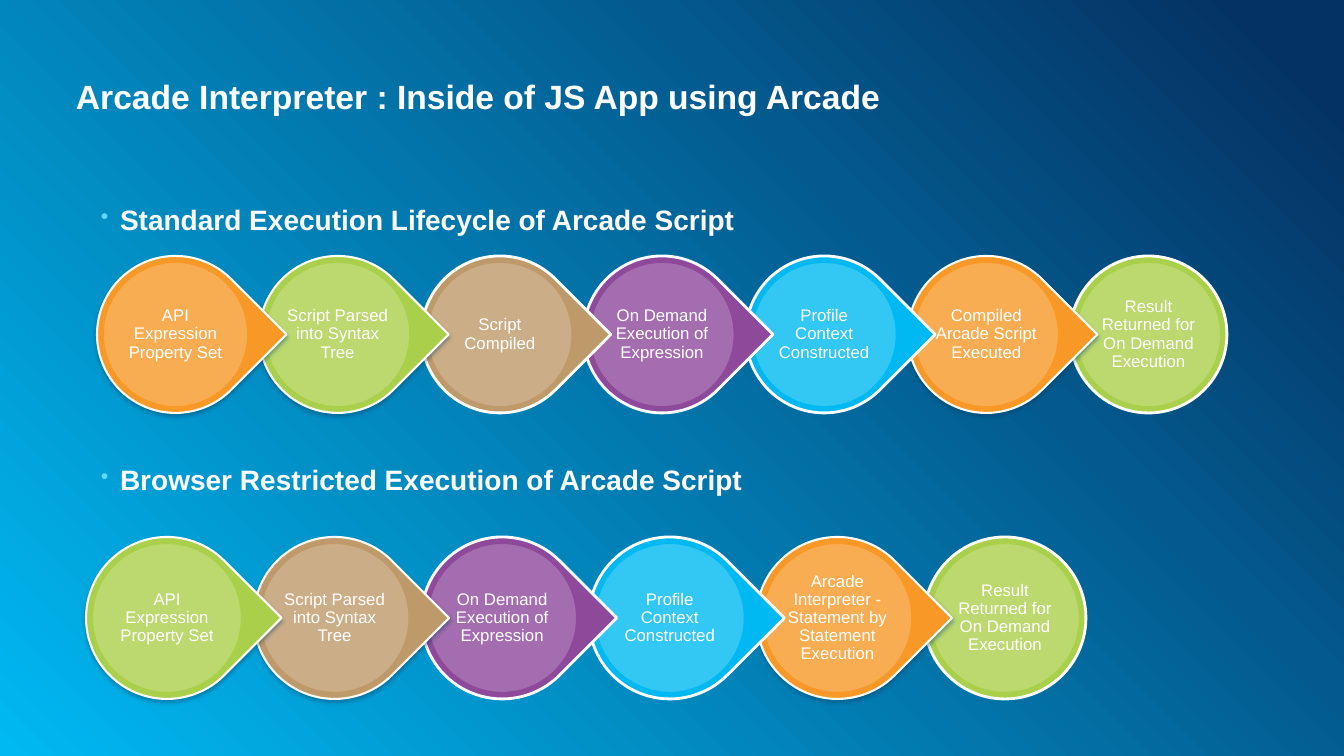
from pptx import Presentation
from pptx.dml.color import RGBColor
from pptx.enum.shapes import MSO_SHAPE
from pptx.enum.text import MSO_ANCHOR, PP_ALIGN
from pptx.oxml import parse_xml
from pptx.oxml.ns import nsdecls
from pptx.util import Pt

ELLIPSE, TEARDROP = MSO_SHAPE.OVAL, MSO_SHAPE.TEAR
TOP, MIDDLE = MSO_ANCHOR.TOP, MSO_ANCHOR.MIDDLE
LEFT, CENTER = PP_ALIGN.LEFT, PP_ALIGN.CENTER

# Content: each step is (label, colour name, raised with a shadow)
TITLE = "Arcade Interpreter : Inside of JS App using Arcade"
ROWS = [
    {
        "heading": "Standard Execution Lifecycle of Arcade Script",
        "heading_top": 202, "first": 97, "last": 1070, "top": 256, "size": 157,
        "steps": [
            ("API Expression Property Set", "orange", True),
            ("Script Parsed into Syntax Tree", "green", True),
            ("Script Compiled", "tan", False),
            ("On Demand Execution of Expression", "purple", False),
            ("Profile Context Constructed", "blue", False),
            ("Compiled Arcade Script Executed", "orange", True),
            ("Result Returned for On Demand Execution", "green", False),
        ],
    },
    {
        "heading": "Browser Restricted Execution of Arcade Script",
        "heading_top": 462, "first": 86, "last": 924, "top": 537, "size": 162,
        "steps": [
            ("API Expression Property Set", "green", True),
            ("Script Parsed into Syntax Tree", "tan", True),
            ("On Demand Execution of Expression", "purple", False),
            ("Profile Context Constructed", "blue", False),
            ("Arcade Interpreter - Statement by Statement Execution", "orange", True),
            ("Result Returned for On Demand Execution", "green", False),
        ],
    },
]

THEME = {
    "font": "Arial", "title": 24, "heading": 20, "label": 12,
    "white": "FFFFFF", "orange": "F89927", "green": "AAD04B", "tan": "BE9969",
    "purple": "8E499B", "blue": "00B9F2", "bullet": "5ED9FF",
    "shadow": "003D61", "bg_near": "00B9F2", "bg_far": "053264",
}
PX = 914400 / 100.8
INNER, LABEL = 0.93, 0.67  # share of the step's size


def px(n):
    return round(n * PX)


def rgb(name):
    return RGBColor.from_string(THEME[name])


def add_text(shapes, box, text, size, bold=False, align=LEFT, anchor=TOP, inset=0):
    tf = shapes.add_textbox(*map(px, box)).text_frame
    tf.word_wrap = True
    tf.vertical_anchor = anchor
    tf.margin_left = tf.margin_top = tf.margin_right = tf.margin_bottom = px(inset)
    p = tf.paragraphs[0]
    p.alignment = align
    r = p.add_run()
    r.text = text
    r.font.name, r.font.size, r.font.bold = THEME["font"], Pt(THEME[size]), bold
    r.font.color.rgb = rgb("white")
    return p


def add_heading(shapes, top, text):
    p = add_text(shapes, (101, top, 1024, 59), text, "heading", bold=True)
    p.space_after = Pt(6)
    pPr = p._p.get_or_add_pPr()
    pPr.set("marL", str(px(19)))
    pPr.set("indent", str(px(-19)))
    for xml in (f'<a:buClr {nsdecls("a")}><a:srgbClr val="{THEME["bullet"]}"/></a:buClr>',
                f'<a:buSzPct {nsdecls("a")} val="80000"/>',
                f'<a:buChar {nsdecls("a")} char="•"/>'):
        pPr.append(parse_xml(xml))


def add_disc(shapes, kind, box, fill, line, width):
    sp = shapes.add_shape(kind, *map(px, box))
    sp.shadow.inherit = False
    sp.fill.solid()
    sp.fill.fore_color.rgb = rgb(fill)
    sp.line.color.rgb = rgb(line)
    sp.line.width = Pt(width)
    return sp


def add_alpha(color, percent):
    color.append(parse_xml(f'<a:alpha {nsdecls("a")} val="{percent * 1000}"/>'))


def raise_disc(sp):
    effects = sp._element.spPr.find("{*}effectLst")
    shadow = parse_xml(
        f'<a:outerShdw {nsdecls("a")} blurRad="{Pt(3)}" dist="{Pt(2)}" dir="5400000" '
        f'algn="ctr" rotWithShape="0"><a:srgbClr val="{THEME["shadow"]}"/></a:outerShdw>')
    add_alpha(shadow[0], 40)
    effects.append(shadow)


def add_step(shapes, x, y, size, step, is_last):
    text, color, raised = step

    def centred(share):
        gap = size * (1 - share) / 2
        return x + gap, y + gap, size * share, size * share

    disc = add_disc(shapes, ELLIPSE if is_last else TEARDROP, centred(1),
                    color, "white", 1.5 if raised else 2)
    if not is_last:
        disc.rotation = 45
    if raised:
        raise_disc(disc)
    inner = add_disc(shapes, ELLIPSE, centred(INNER), "white", color, 2)
    add_alpha(inner._element.spPr.find("{*}solidFill")[0], 20)
    p = add_text(shapes, centred(LABEL), text, "label",
                 align=CENTER, anchor=MIDDLE, inset=2)
    p.line_spacing = 0.9


def add_row(s, row):
    add_heading(s.shapes, row["heading_top"], row["heading"])
    steps = row["steps"]
    end = len(steps) - 1
    pitch = (row["last"] - row["first"]) / end
    group = s.shapes.add_group_shape()
    # Right to left, so that each tip lies over the next step
    for i in range(end, -1, -1):
        add_step(group.shapes, row["first"] + i * pitch, row["top"], row["size"],
                 steps[i], i == end)


def add_background(s):
    s.element.cSld.insert(0, parse_xml(
        f'<p:bg {nsdecls("p", "a")}><p:bgPr><a:gradFill rotWithShape="1"><a:gsLst>'
        f'<a:gs pos="0"><a:srgbClr val="{THEME["bg_near"]}"/></a:gs>'
        f'<a:gs pos="95000"><a:srgbClr val="{THEME["bg_far"]}"/></a:gs></a:gsLst>'
        '<a:path path="circle"><a:fillToRect t="100000" r="100000"/></a:path>'
        '</a:gradFill><a:effectLst/></p:bgPr></p:bg>'))


def main():
    prs = Presentation()
    prs.slide_width, prs.slide_height = px(1344), px(756)
    s = prs.slides.add_slide(prs.slide_layouts[6])
    add_background(s)
    add_text(s.shapes, (76, 76, 1193, 40), TITLE, "title", bold=True)
    for row in ROWS:
        add_row(s, row)
    prs.save("out.pptx")


if __name__ == "__main__":
    main()
